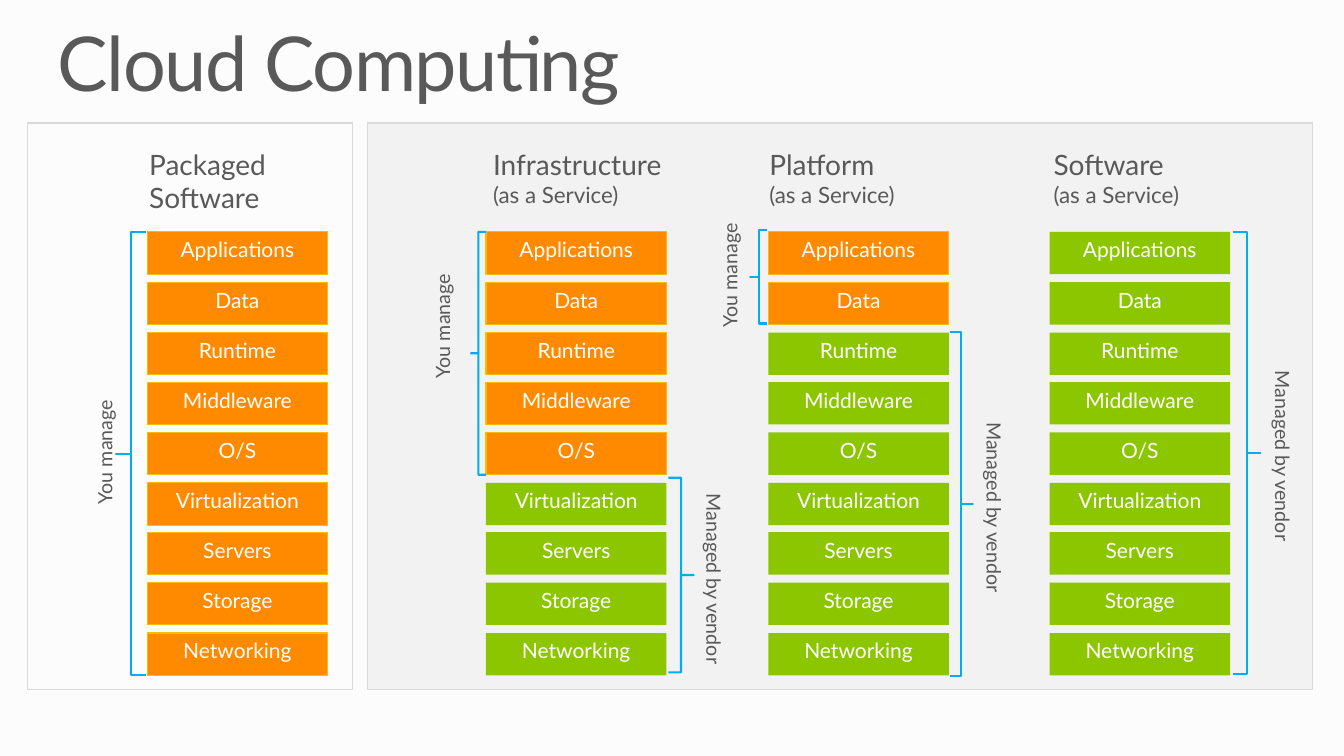
from dataclasses import dataclass
from pptx import Presentation
from pptx.dml.color import RGBColor
from pptx.enum.shapes import MSO_SHAPE as Preset
from pptx.enum.text import MSO_ANCHOR as Anchor, MSO_AUTO_SIZE as AutoSize, PP_ALIGN as Align
from pptx.util import Pt

EMU_PER_PX = 9144  # 100 px to the inch


def px(*lengths):
    return [length * EMU_PER_PX for length in lengths]


@dataclass(frozen=True)
class Theme:
    font: str = "Lato"
    background: str = "FCFCFC"
    text: str = "595959"
    layer_text: str = "FFFFFF"
    own: str = "FF8A00"
    own_edge: str = "F9BC00"
    vendor: str = "8CC600"
    brace: str = "00AEEF"
    panel: str = "F2F2F2"
    panel_edge: str = "D9D9D9"
    title_size: int = 54
    header_size: int = 20
    subheader_size: int = 16
    layer_size: int = 15
    label_size: int = 14
    thin: float = 0.75
    thick: float = 1.5


class SlideBuilder:
    def __init__(self, slide, theme):
        self.slide = slide
        self.theme = theme
        fill = slide.background.fill
        fill.solid()
        fill.fore_color.rgb = RGBColor.from_string(theme.background)

    def style(self, paragraph, size, color, align=Align.LEFT):
        paragraph.alignment = align
        for run in paragraph.runs:
            run.font.name = self.theme.font
            run.font.size = Pt(size)
            run.font.color.rgb = RGBColor.from_string(color)

    def title(self, text, *box):
        title = self.slide.shapes.title
        title.left, title.top, title.width, title.height = px(*box)
        frame = title.text_frame
        frame.text = text
        frame.auto_size = AutoSize.NONE
        frame.margin_left = frame.margin_right = frame.margin_top = frame.margin_bottom = 0
        paragraph = frame.paragraphs[0]
        paragraph.line_spacing = 0.9
        self.style(paragraph, self.theme.title_size, self.theme.text)
        paragraph.runs[0].font._element.set("spc", "-100")

    def shape(self, preset, box, fill=None, line=None, line_width=0.75):
        shape = self.slide.shapes.add_shape(preset, *px(*box))
        shape.shadow.inherit = False
        if fill:
            shape.fill.solid()
            shape.fill.fore_color.rgb = RGBColor.from_string(fill)
        else:
            shape.fill.background()
        if line:
            shape.line.color.rgb = RGBColor.from_string(line)
            shape.line.width = Pt(line_width)
        else:
            shape.line.fill.background()
        return shape

    def panel(self, *box, fill=None):
        self.shape(Preset.RECTANGLE, box, fill, self.theme.panel_edge, self.theme.thin)

    def layer(self, text, box, own):
        theme = self.theme
        fill, line = (theme.own, theme.own_edge) if own else (theme.vendor, None)
        frame = self.shape(Preset.RECTANGLE, box, fill, line, theme.thin).text_frame
        frame.text = text
        frame.vertical_anchor = Anchor.TOP
        self.style(frame.paragraphs[0], theme.layer_size, theme.layer_text, Align.CENTER)

    def header(self, text, *box):
        frame = self.slide.shapes.add_textbox(*px(*box)).text_frame
        frame.word_wrap = True
        frame.margin_left = frame.margin_right = frame.margin_top = frame.margin_bottom = 0
        frame.text = text
        sizes = self.theme.header_size, self.theme.subheader_size
        for paragraph, size in zip(frame.paragraphs, sizes):
            self.style(paragraph, size, self.theme.text)

    def brace(self, preset, box):
        shape = self.shape(preset, box, line=self.theme.brace, line_width=self.theme.thick)
        shape.adjustments[0] = 0
        shape.adjustments[1] = 0.5

    def vertical_label(self, text, direction, box):
        frame = self.slide.shapes.add_textbox(*px(*box)).text_frame
        frame.text = text
        frame.word_wrap = False
        frame.auto_size = AutoSize.SHAPE_TO_FIT_TEXT
        frame._bodyPr.set("vert", direction)
        self.style(frame.paragraphs[0], self.theme.label_size, self.theme.text, Align.CENTER)

    def you_manage(self, brace_box, label_left, label_top):
        self.brace(Preset.LEFT_BRACE, brace_box)
        self.vertical_label("You manage", "vert270", (label_left, label_top, 44, 117))

    def managed_by_vendor(self, brace_box, label_left, label_top):
        self.brace(Preset.RIGHT_BRACE, brace_box)
        self.vertical_label("Managed by vendor", "eaVert", (label_left, label_top, 44, 185))


LAYERS = ["Applications", "Data", "Runtime", "Middleware", "O/S",
          "Virtualization", "Servers", "Storage", "Networking"]
LAYER_TOP, LAYER_PITCH, LAYER_WIDTH, LAYER_HEIGHT = 230, 49.75, 179, 42
HEADER_TOP, HEADER_WIDTH, HEADER_HEIGHT = 146, 204, 70

# Header, header left, stack left, number of layers you manage
MODELS = [
    ("Packaged Software", 148, 146, 9),
    ("Infrastructure\n(as a Service)", 489, 482, 5),
    ("Platform\n(as a Service)", 763, 762, 2),
    ("Software\n(as a Service)", 1045, 1041, 0),
]

# Brace box, label left, label top
YOU_MANAGE = [
    ((115, 230, 30, 440), 87, 390),
    ((467, 230, 15, 241), 422, 265),
    ((744, 228, 17, 93), 707, 215),
]
MANAGED_BY_VENDOR = [
    ((663, 474, 25, 193), 681, 480),
    ((942, 329, 23, 342), 959, 409),
    ((1223, 230, 27, 439), 1245, 358),
]


def main():
    presentation = Presentation()
    presentation.slide_width, presentation.slide_height = px(1333, 750)
    slide = presentation.slides.add_slide(presentation.slide_layouts[5])
    theme = Theme()
    builder = SlideBuilder(slide, theme)

    # Title and panels
    builder.title("Cloud Computing", 57, 25, 1219, 82)
    builder.panel(27, 122, 323, 562)
    builder.panel(364, 122, 938, 562, fill=theme.panel)

    # One stack of layers per service model
    for header, header_left, stack_left, own_count in MODELS:
        builder.header(header, header_left, HEADER_TOP, HEADER_WIDTH, HEADER_HEIGHT)
        for index, layer in enumerate(LAYERS):
            top = LAYER_TOP + round(index * LAYER_PITCH)
            box = (stack_left, top, LAYER_WIDTH, LAYER_HEIGHT)
            builder.layer(layer, box, own=index < own_count)

    # Who manages which layers
    for brace in YOU_MANAGE:
        builder.you_manage(*brace)
    for brace in MANAGED_BY_VENDOR:
        builder.managed_by_vendor(*brace)

    presentation.save("out.pptx")


if __name__ == "__main__":
    main()
